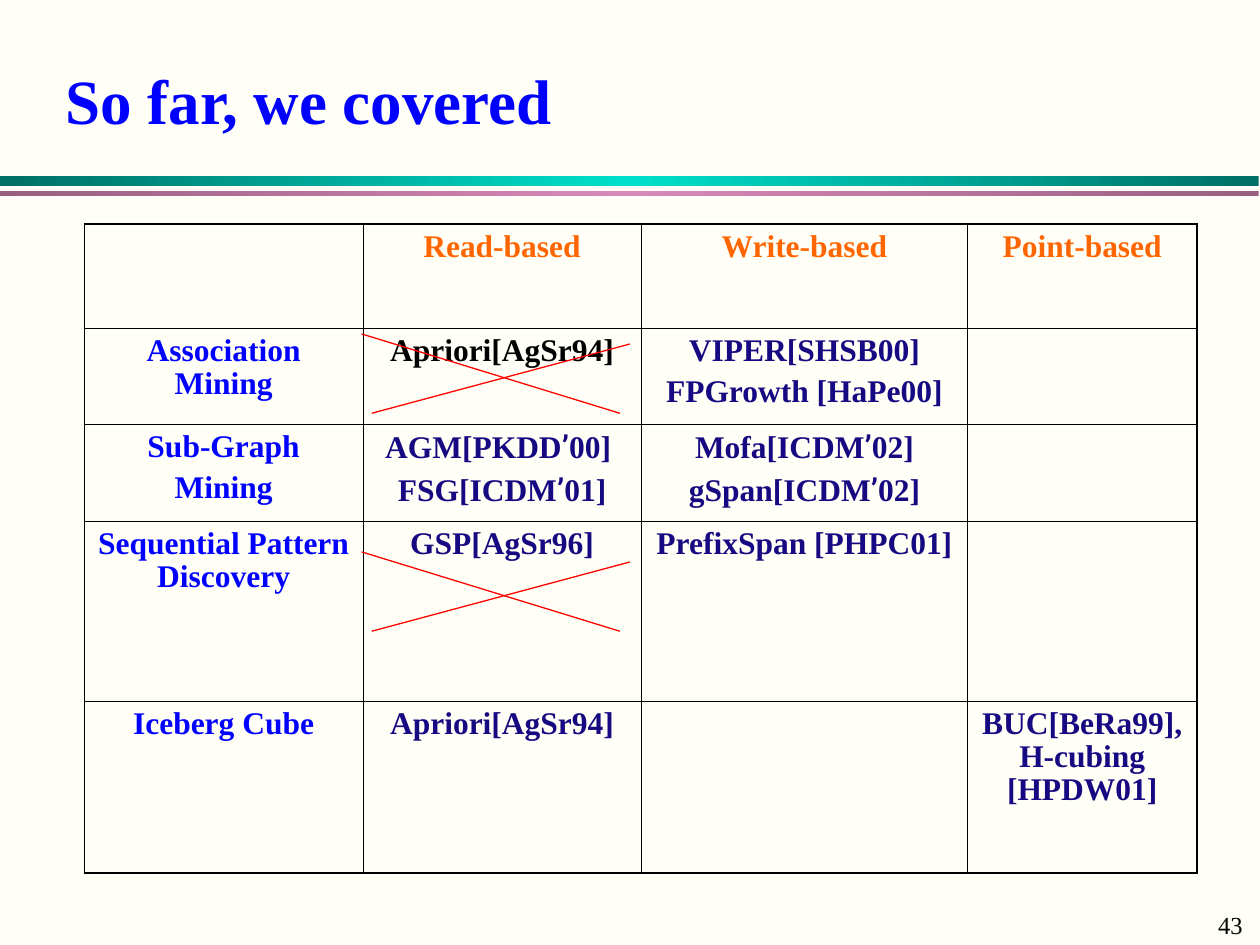
from copy import deepcopy
from dataclasses import dataclass

from lxml.etree import SubElement
from pptx import Presentation
from pptx.dml.color import RGBColor
from pptx.enum.shapes import MSO_CONNECTOR, MSO_SHAPE
from pptx.enum.text import MSO_ANCHOR, PP_ALIGN
from pptx.oxml.ns import qn
from pptx.util import Inches, Pt

CREAM = RGBColor(0xFF, 0xFF, 0xF7)
BLUE = RGBColor(0x00, 0x00, 0xFF)
NAVY = RGBColor(0x17, 0x09, 0x81)
ORANGE = RGBColor(0xFF, 0x66, 0x00)
BLACK = RGBColor(0x00, 0x00, 0x00)
RED = RGBColor(0xFF, 0x00, 0x00)
DARK_TEAL = RGBColor(0x00, 0x6F, 0x65)
BRIGHT_TEAL = RGBColor(0x00, 0xDF, 0xCA)
DARK_PINK = RGBColor(0x97, 0x60, 0x80)
BRIGHT_PINK = RGBColor(0xD9, 0x89, 0xB8)

SERIF = "Times New Roman"
APOSTROPHE = "’"
APOSTROPHE_FONT = "Roboto"
INNER_BORDER = Pt(0.45)
OUTER_BORDER = Pt(1.08)
COLUMN_WIDTHS = (2.21, 2.21, 2.59, 1.82)
ROW_HEIGHTS = (0.83, 0.76, 0.77, 1.43, 1.36)
ROWS = (
    ("", "Read-based", "Write-based", "Point-based"),
    ("Association Mining", "Apriori[AgSr94]", "VIPER[SHSB00]\nFPGrowth [HaPe00]", ""),
    ("Sub-Graph\nMining", "AGM[PKDD’00] \nFSG[ICDM’01]", "Mofa[ICDM’02]\ngSpan[ICDM’02]", ""),
    ("Sequential Pattern Discovery", "GSP[AgSr96]", "PrefixSpan [PHPC01]", ""),
    ("Iceberg Cube", "Apriori[AgSr94]", "", "BUC[BeRa99], H-cubing [HPDW01]"),
)


@dataclass(frozen=True)
class Band:
    top: float
    height: float
    edge: RGBColor
    middle: RGBColor


@dataclass(frozen=True)
class Label:
    text: str
    left: float
    top: float
    width: float
    height: float
    size: int
    color: RGBColor
    bold: bool
    anchor: MSO_ANCHOR


BANDS = (
    Band(1.4, 0.08, DARK_TEAL, BRIGHT_TEAL),
    Band(1.52, 0.04, DARK_PINK, BRIGHT_PINK),
)
LABELS = (
    Label("43", 9.57, 7.17, 0.43, 0.34, 14, BLACK, False, MSO_ANCHOR.TOP),
    Label("So far, we covered", 0.42, 0.42, 9.17, 0.73, 36, BLUE, True, MSO_ANCHOR.MIDDLE),
)
CROSS_TOPS = (2.65, 4.38)


def add_run(paragraph, text: str, size: int, color: RGBColor, bold: bool, name: str = SERIF) -> None:
    run = paragraph.add_run()
    run.text = text
    run.font.color.rgb = color
    for attribute, value in {"size": Pt(size), "bold": bold, "name": name}.items():
        setattr(run.font, attribute, value)


def add_band(slide, band: Band) -> None:
    shape = slide.shapes.add_shape(
        MSO_SHAPE.RECTANGLE, 0, Inches(band.top), Inches(9.99), Inches(band.height))
    shape.shadow.inherit = False
    shape.line.fill.background()
    shape.fill.gradient()
    shape.fill.gradient_angle = 0
    stop_list = shape._element.spPr.find(qn("a:gradFill")).find(qn("a:gsLst"))
    stop_list.append(deepcopy(stop_list[-1]))
    colors = (band.edge, band.middle, band.edge)
    for stop, position, color in zip(shape.fill.gradient_stops, (0, 0.5, 1), colors):
        stop.position = position
        stop.color.rgb = color


def add_label(slide, label: Label) -> None:
    box = slide.shapes.add_textbox(*map(Inches, (label.left, label.top, label.width, label.height)))
    box.text_frame.word_wrap = True
    box.text_frame.vertical_anchor = label.anchor
    add_run(box.text_frame.paragraphs[0], label.text, label.size, label.color, label.bold)


def text_color(row: int, column: int) -> RGBColor:
    if row == 0:
        return ORANGE
    if column == 0:
        return BLUE
    return BLACK if (row, column) == (1, 1) else NAVY


def write_cell(cell, text: str, color: RGBColor) -> None:
    frame = cell.text_frame
    for index, line in enumerate(text.split("\n")):
        paragraph = frame.add_paragraph() if index else frame.paragraphs[0]
        values = {
            "alignment": PP_ALIGN.CENTER,
            "line_spacing": 0.95,
            "space_before": Pt(4.5 if index else 0),
        }
        for attribute, value in values.items():
            setattr(paragraph, attribute, value)
        before, mark, after = line.partition(APOSTROPHE)
        for part, name in ((before, SERIF), (mark, APOSTROPHE_FONT), (after, SERIF)):
            if part:
                add_run(paragraph, part, 18, color, True, name)


def set_borders(cell, outer: dict[str, bool]) -> None:
    properties = cell._tc.get_or_add_tcPr()
    for index, (side, is_outer) in enumerate(outer.items()):
        width = OUTER_BORDER if is_outer else INNER_BORDER
        line = SubElement(properties, qn(f"a:ln{side}"), w=str(width))
        fill = SubElement(line, qn("a:solidFill"))
        SubElement(fill, qn("a:srgbClr"), val=str(BLACK))
        properties.insert(index, line)


def add_method_table(slide) -> None:
    row_count, column_count = len(ROWS), len(COLUMN_WIDTHS)
    table = slide.shapes.add_table(
        row_count, column_count, Inches(0.67), Inches(1.78),
        Inches(sum(COLUMN_WIDTHS)), Inches(sum(ROW_HEIGHTS))).table
    table.first_row = table.horz_banding = False
    for column, width in zip(table.columns, COLUMN_WIDTHS):
        column.width = Inches(width)
    for row, height in zip(table.rows, ROW_HEIGHTS):
        row.height = Inches(height)
    for row, texts in enumerate(ROWS):
        for column, text in enumerate(texts):
            cell = table.cell(row, column)
            cell.fill.background()
            write_cell(cell, text, text_color(row, column))
            set_borders(cell, {
                "L": column == 0,
                "R": column == column_count - 1,
                "T": row == 0,
                "B": row == row_count - 1,
            })


def add_red_line(slide, start: tuple[float, float], end: tuple[float, float]) -> None:
    line = slide.shapes.add_connector(MSO_CONNECTOR.STRAIGHT, *map(Inches, start + end))
    line.line.color.rgb = RED
    line.line.width = Pt(0.75)
    SubElement(line._element.spPr, qn("a:effectLst"))


def add_cross(slide, top: float) -> None:
    bottom = top + 0.63
    add_red_line(slide, (2.95, bottom), (5, top + 0.08))
    add_red_line(slide, (4.92, bottom), (2.87, top))


def main() -> None:
    """Build the slide summarising the mining methods covered so far."""
    presentation = Presentation()
    presentation.slide_width = Inches(10)
    presentation.slide_height = Inches(7.5)
    slide = presentation.slides.add_slide(presentation.slide_layouts[6])
    slide.background.fill.solid()
    slide.background.fill.fore_color.rgb = CREAM
    for band in BANDS:
        add_band(slide, band)
    for label in LABELS:
        add_label(slide, label)
    add_method_table(slide)
    for top in CROSS_TOPS:
        add_cross(slide, top)
    presentation.save("out.pptx")


if __name__ == "__main__":
    main()
